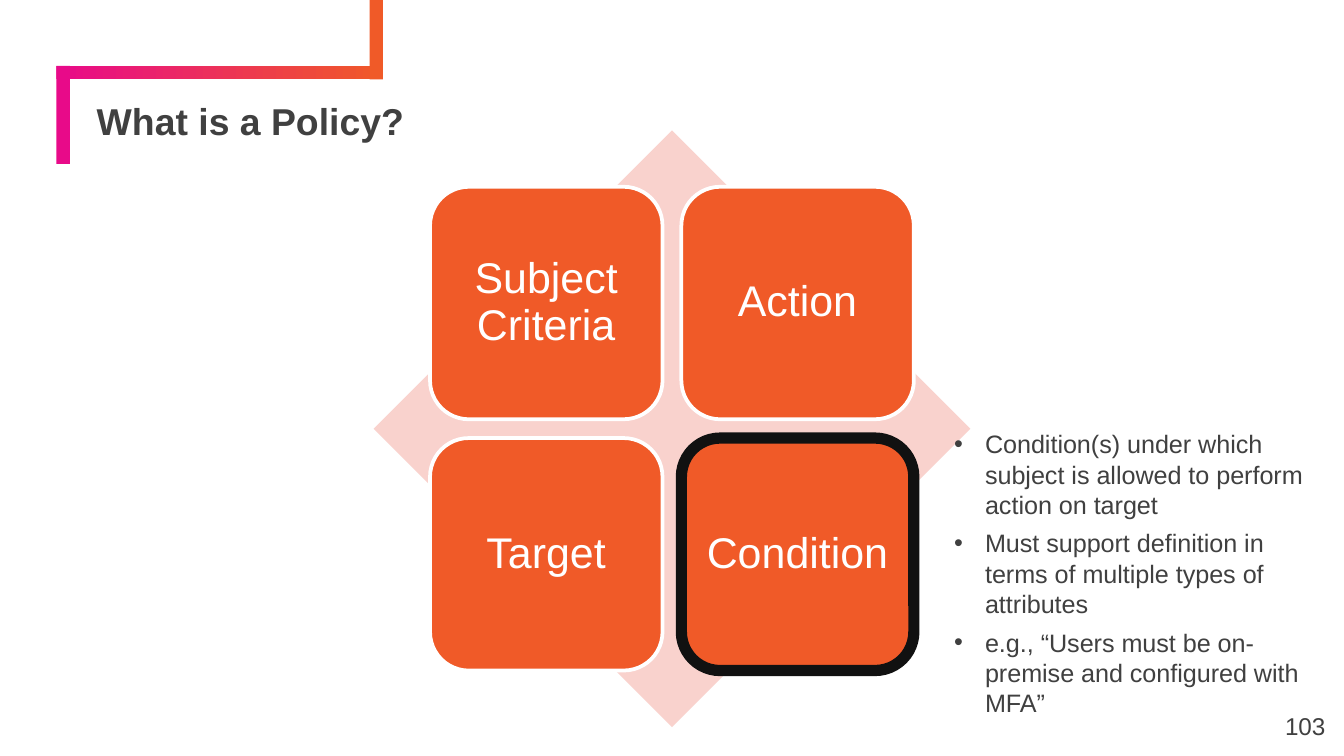
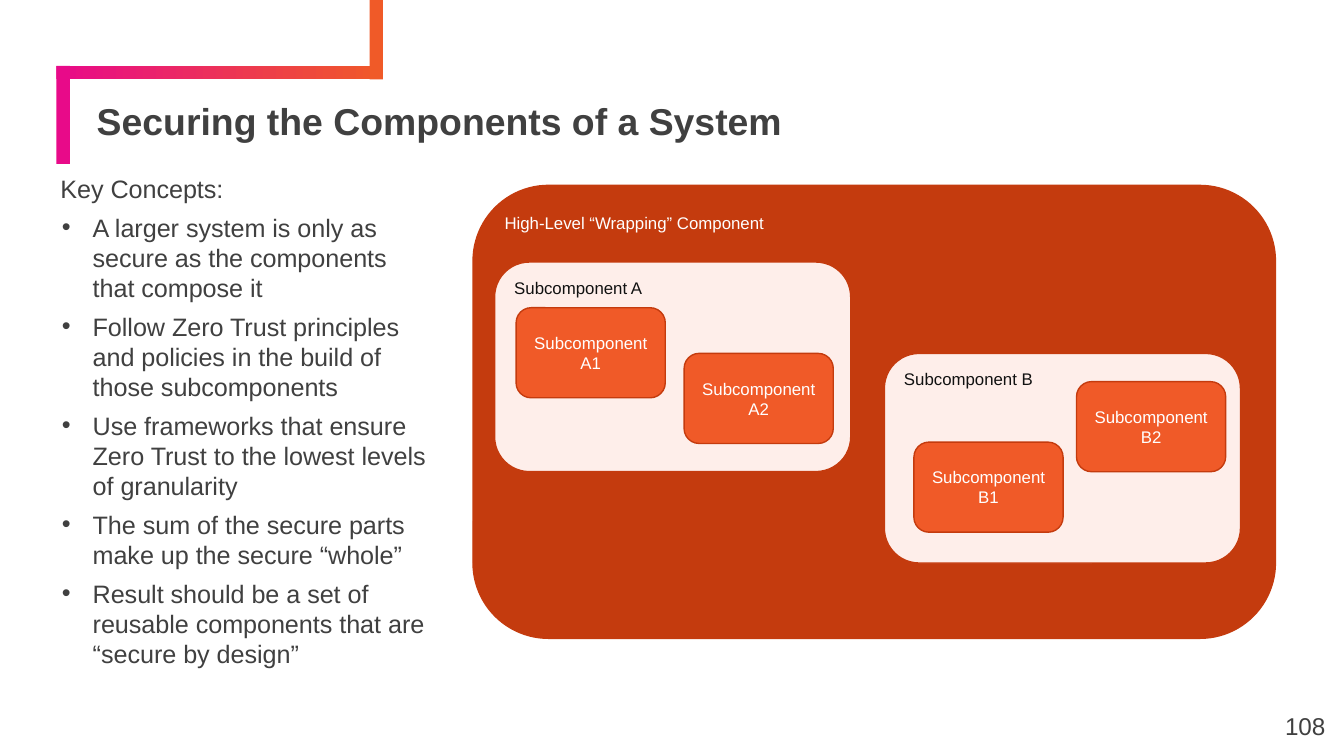
from lxml import etree
from pptx import Presentation
from pptx.dml.color import RGBColor
from pptx.enum.shapes import MSO_SHAPE
from pptx.enum.text import MSO_ANCHOR, PP_ALIGN
from pptx.oxml.ns import qn
from pptx.util import Inches, Pt

RECT = MSO_SHAPE.RECTANGLE
ROUND = MSO_SHAPE.ROUNDED_RECTANGLE
DIAMOND = MSO_SHAPE.DIAMOND
TOP, MIDDLE, BOTTOM = MSO_ANCHOR.TOP, MSO_ANCHOR.MIDDLE, MSO_ANCHOR.BOTTOM
LEFT, CENTER, RIGHT = PP_ALIGN.LEFT, PP_ALIGN.CENTER, PP_ALIGN.RIGHT

ORANGE = RGBColor(0xF0, 0x5A, 0x28)
PINK = RGBColor(0xE8, 0x0A, 0x89)
RUST = RGBColor(0xC4, 0x3B, 0x0E)
BLUSH = RGBColor(0xF9, 0xD2, 0xCD)
CREAM = RGBColor(0xFE, 0xEE, 0xEA)
GRAY = RGBColor(0x40, 0x40, 0x40)
BLACK = RGBColor(0x11, 0x11, 0x11)
WHITE = RGBColor(0xFF, 0xFF, 0xFF)

FONT = "Arial"
WIDE = Inches(10)
HIGH = WIDE * 9 // 16
BAR = 0.1
TILE, STEP = 1.73, 1.87
PART = (1.11, 0.67)
GROUP = (2.65, 1.56)


def style(para, size, color, align=LEFT, bold=False):
    para.alignment = align
    for run in para.runs:
        font = run.font
        font.name, font.size, font.bold = FONT, Pt(size), bold
        font.color.rgb = color


def set_frame(frame, pad_x, pad_y, anchor=TOP):
    frame.word_wrap = True
    frame.margin_left = frame.margin_right = Inches(pad_x)
    frame.margin_top = frame.margin_bottom = Inches(pad_y)
    frame.vertical_anchor = anchor


def add_box(slide, kind, at, fill=None, line=None, width=0.75):
    shape = slide.shapes.add_shape(kind, *map(Inches, at))
    shape.shadow.inherit = False
    if fill is not None:
        shape.fill.solid()
        shape.fill.fore_color.rgb = fill
    if line is None:
        shape.line.fill.background()
    else:
        shape.line.color.rgb = line
        shape.line.width = Pt(width)
    return shape


def add_text(slide, at, pad, anchor=TOP):
    frame = slide.shapes.add_textbox(*map(Inches, at)).text_frame
    set_frame(frame, pad, pad, anchor)
    return frame


def add_frame(slide, title, number):
    beam = add_box(slide, RECT, (0.42, 0.49, 2.43, BAR))
    beam.fill.gradient()
    beam.fill.gradient_angle = 0
    for stop, color in zip(beam.fill.gradient_stops, (PINK, ORANGE)):
        stop.color.rgb = color
    add_box(slide, RECT, (0.42, 0.49, BAR, 0.73), PINK)
    add_box(slide, RECT, (2.75, 0, BAR, 0.59), ORANGE)

    head = add_text(slide, (0.67, 0.78, 9.03, 0.34), 0.05, BOTTOM)
    head.text = title
    head.paragraphs[0].line_spacing = 0.9
    style(head.paragraphs[0], 20, GRAY, bold=True)

    foot = add_text(slide, (9.36, 5.19, 0.6, 0.43), 0.1)
    foot.text = number
    style(foot.paragraphs[0], 13, GRAY, RIGHT)


def add_bullet(props):
    props.set("marL", str(Inches(0.32)))
    props.set("indent", str(Inches(-0.23)))
    etree.SubElement(props, qn("a:buFont")).set("typeface", FONT)
    etree.SubElement(props, qn("a:buChar")).set("char", "•")


def add_list(slide, at, items, intro=None):
    frame = add_text(slide, at, 0)
    lines = [intro] + items if intro else items
    frame.text = "\n".join(lines)
    for para, line in zip(frame.paragraphs, lines):
        props = para._p.get_or_add_pPr()
        if line == intro:
            props.set("marL", str(Inches(0.08)))
        else:
            add_bullet(props)
        para.space_after = Pt(4.5)
        style(para, 13.5, GRAY)


def add_tile(slide, row, col, text, line=WHITE, width=2):
    at = (3.2 + col * STEP, 1.39 + row * STEP, TILE, TILE)
    frame = add_box(slide, ROUND, at, ORANGE, line, width).text_frame
    set_frame(frame, 0.09, 0.1, MIDDLE)
    frame.text = text
    frame.paragraphs[0].line_spacing = 0.9
    style(frame.paragraphs[0], 23, WHITE, CENTER)


def add_block(slide, at, text, fill, color, anchor=TOP, align=LEFT):
    frame = add_box(slide, ROUND, at, fill, RUST).text_frame
    set_frame(frame, 0.07, 0.04, anchor)
    frame.text = text
    style(frame.paragraphs[0], 9, color, align)


def build_policy(slide):
    add_frame(slide, "What is a Policy?", "103")
    add_box(slide, DIAMOND, (2.78, 0.97, 4.44, 4.44), BLUSH)
    add_tile(slide, 0, 0, "Subject Criteria")
    add_tile(slide, 0, 1, "Action")
    add_tile(slide, 1, 0, "Target")
    add_tile(slide, 1, 1, "Condition", BLACK, 6)
    add_list(slide, (7.01, 3.19, 2.83, 2.22), [
        "Condition(s) under which subject is allowed to perform action on target",
        "Must support definition in terms of multiple types of attributes",
        "e.g., “Users must be on-premise and configured with MFA”",
    ])


def build_system(slide):
    add_frame(slide, "Securing the Components of a System", "108")
    add_block(slide, (3.52, 1.38, 5.97, 3.37),
              "High-Level “Wrapping” Component", RUST, WHITE)
    for name, left, top in (("A", 3.68, 1.95), ("B", 6.58, 2.63)):
        add_block(slide, (left, top, *GROUP), f"Subcomponent {name}", CREAM, BLACK)
    parts = (("A1", 3.84, 2.29), ("A2", 5.09, 2.63),
             ("B1", 6.8, 3.29), ("B2", 8.01, 2.84))
    for name, left, top in parts:
        add_block(slide, (left, top, *PART), f"Subcomponent {name}",
                  ORANGE, WHITE, MIDDLE, CENTER)
    add_list(slide, (0.37, 1.29, 2.83, 3.77), [
        "A larger system is only as secure as the components that compose it",
        "Follow Zero Trust principles and policies in the build of those subcomponents",
        "Use frameworks that ensure Zero Trust to the lowest levels of granularity",
        "The sum of the secure parts make up the secure “whole”",
        "Result should be a set of reusable components that are “secure by design”",
    ], "Key Concepts:")


def main():
    deck = Presentation()
    deck.slide_width, deck.slide_height = WIDE, HIGH
    blank = deck.slide_layouts[6]
    for build in (build_policy, build_system):
        build(deck.slides.add_slide(blank))
    deck.save("out.pptx")


if __name__ == "__main__":
    main()
